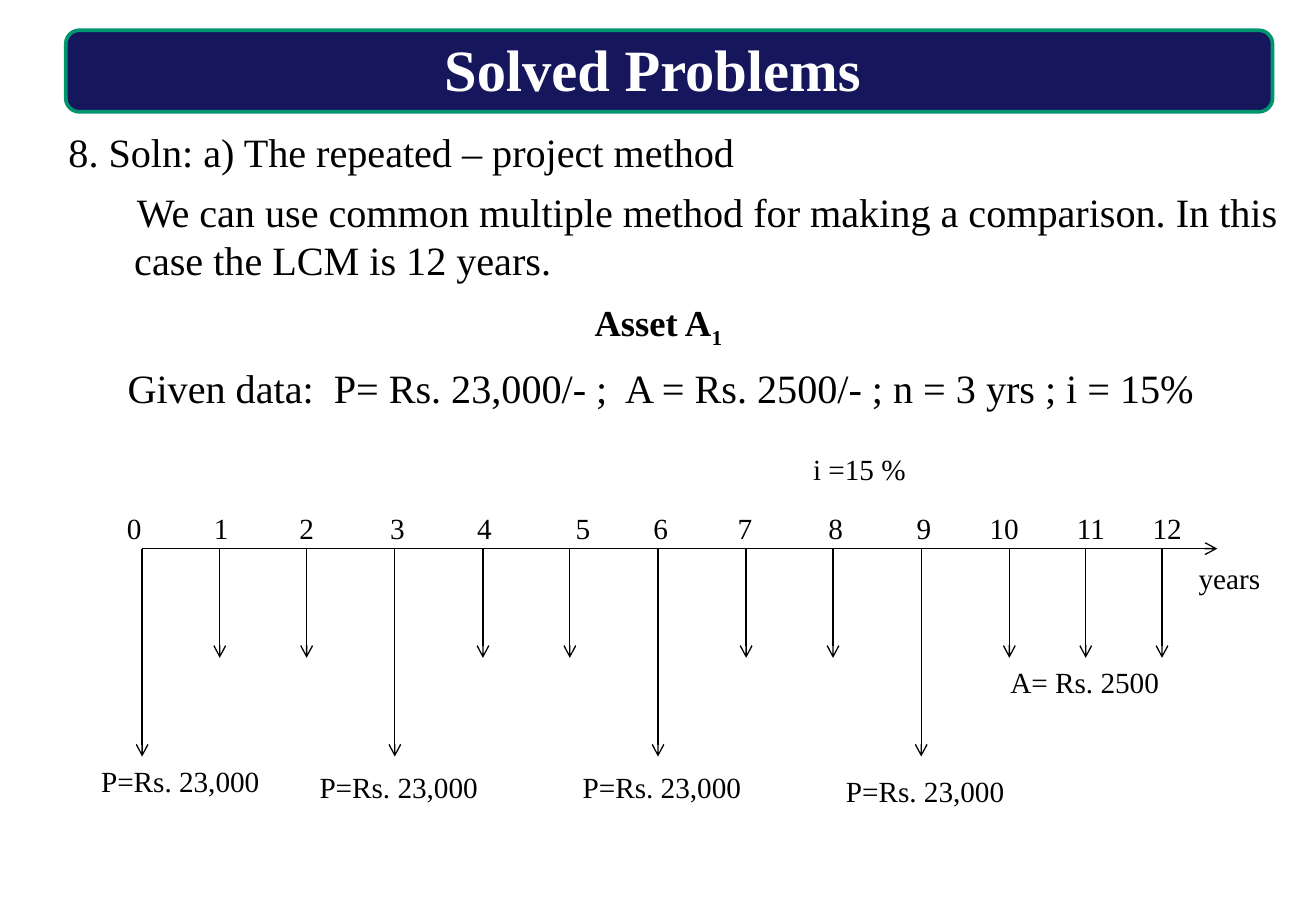
from dataclasses import dataclass

from lxml.etree import SubElement
from pptx import Presentation
from pptx.dml.color import RGBColor
from pptx.enum.shapes import MSO_CONNECTOR, MSO_SHAPE
from pptx.enum.text import MSO_ANCHOR, MSO_AUTO_SIZE, PP_ALIGN
from pptx.oxml.ns import qn
from pptx.util import Pt

PX = 9144


@dataclass(frozen=True)
class Theme:
    font: str = "Times New Roman"
    ink: RGBColor = RGBColor(0, 0, 0)
    title_ink: RGBColor = RGBColor(255, 255, 255)
    banner: RGBColor = RGBColor(0x16, 0x16, 0x5D)
    banner_edge: RGBColor = RGBColor(0x00, 0x95, 0x6F)
    title_size: int = 32
    body_size: int = 22
    heading_size: int = 20
    label_size: int = 16
    line_width: float = 0.75


THEME = Theme()

YEAR_X = [41, 100, 166, 233, 300, 366, 433, 500, 566, 633, 700, 758, 816]
LABEL_X = [35, 101, 166, 235, 301, 376, 435, 499, 568, 635, 696, 762, 820]
PURCHASE_LABELS = {0: (0, 192), 3: (166, 197), 6: (366, 197), 9: (566, 200)}


def px(*lengths):
    return [length * PX for length in lengths]


def place(shape, box):
    shape.left, shape.top, shape.width, shape.height = px(*box)


def style(paragraph, size, color=THEME.ink, bold=False):
    for run in paragraph.runs:
        run.font.name = THEME.font
        run.font.size = Pt(size)
        run.font.color.rgb = color
        run.font.bold = bold


def add_label(slide, box, text, align=PP_ALIGN.LEFT):
    label = slide.shapes.add_textbox(*px(*box))
    label.text_frame.word_wrap = True
    paragraph = label.text_frame.paragraphs[0]
    paragraph.text = text
    paragraph.alignment = align
    style(paragraph, THEME.label_size)
    return paragraph


def add_arrow(slide, start, end):
    arrow = slide.shapes.add_connector(MSO_CONNECTOR.STRAIGHT, *px(*start, *end))
    arrow.line.color.rgb = THEME.ink
    arrow.line.width = Pt(THEME.line_width)
    SubElement(arrow.line._get_or_add_ln(), qn("a:tailEnd"), type="arrow")
    SubElement(arrow._element.spPr, qn("a:effectLst"))


def build_title(slide, box):
    left, top, width, height = box
    banner = slide.shapes.add_shape(MSO_SHAPE.ROUNDED_RECTANGLE, *px(*box))
    banner.shadow.inherit = False
    banner.fill.solid()
    banner.fill.fore_color.rgb = THEME.banner
    banner.line.color.rgb = THEME.banner_edge
    banner.line.width = Pt(2)
    slide.shapes._spTree.insert(2, banner._element)

    title = slide.shapes.title
    place(title, (left + 23, top - 3, width - 71, height - 1))
    title.text_frame.text = "Solved Problems"
    title.text_frame.auto_size = MSO_AUTO_SIZE.NONE
    title.text_frame.vertical_anchor = MSO_ANCHOR.TOP
    heading = title.text_frame.paragraphs[0]
    heading.alignment = PP_ALIGN.CENTER
    style(heading, THEME.title_size, THEME.title_ink, True)


def build_solution(slide, box):
    left, top, width, height = box
    solution = slide.placeholders[1]
    place(solution, box)
    frame = solution.text_frame
    frame.auto_size = MSO_AUTO_SIZE.NONE
    lines = [
        ("8. Soln: a) The repeated – project method", 50, -50, 0),
        ("We can use common multiple method for making a comparison. "
         "In this case the LCM is 12 years.", 50, 2, 0),
        ("Given data:  P= Rs. 23,000/- ;  A = Rs. 2500/- ; n = 3 yrs ; i = 15%",
         45, 0, 38),
    ]
    frame.text = "\n".join(text for text, *_ in lines)
    for paragraph, (_, margin, indent, before) in zip(frame.paragraphs, lines):
        properties = paragraph._p.get_or_add_pPr()
        properties.set("marL", str(margin * PX))
        properties.set("indent", str(indent * PX))
        SubElement(properties, qn("a:buNone"))
        paragraph.space_before = Pt(before)
        paragraph.space_after = Pt(6)
        style(paragraph, THEME.body_size)

    asset = add_label(slide, (left + 400, top + 131, 133, 48), "Asset A")
    asset.add_run().text = "1"
    style(asset, THEME.heading_size, bold=True)
    asset.runs[1].font._element.set("baseline", "-25000")


def build_cash_flow(slide, box):
    left, top, width, height = box
    axis_y = top + 79
    add_arrow(slide, (left + YEAR_X[0], axis_y), (left + width, axis_y))
    for year, (tick_x, label_x) in enumerate(zip(YEAR_X, LABEL_X)):
        x = left + tick_x
        depth = 158 if year in PURCHASE_LABELS else 83
        add_arrow(slide, (x, axis_y), (x, axis_y + depth))
        add_label(slide, (left + label_x - 21, axis_y - 34, 42, 37),
                  str(year), PP_ALIGN.CENTER)
    for label_left, label_top in PURCHASE_LABELS.values():
        add_label(slide, (left + label_left, top + label_top + 45, 183, 37),
                  "P=Rs. 23,000")
    add_label(slide, (left + 541, top, 98, 37), "i =15 %")
    add_label(slide, (left + 691, axis_y + 83, 158, 37), "A= Rs. 2500")
    add_label(slide, (left + 834, axis_y + 4, 75, 37), "years")


def main():
    presentation = Presentation()
    presentation.slide_width, presentation.slide_height = px(1000, 700)
    slide = presentation.slides.add_slide(presentation.slide_layouts[1])
    build_title(slide, (50, 23, 917, 62))
    build_solution(slide, (42, 92, 958, 240))
    build_cash_flow(slide, (67, 338, 858, 282))
    presentation.save("out.pptx")


if __name__ == "__main__":
    main()
